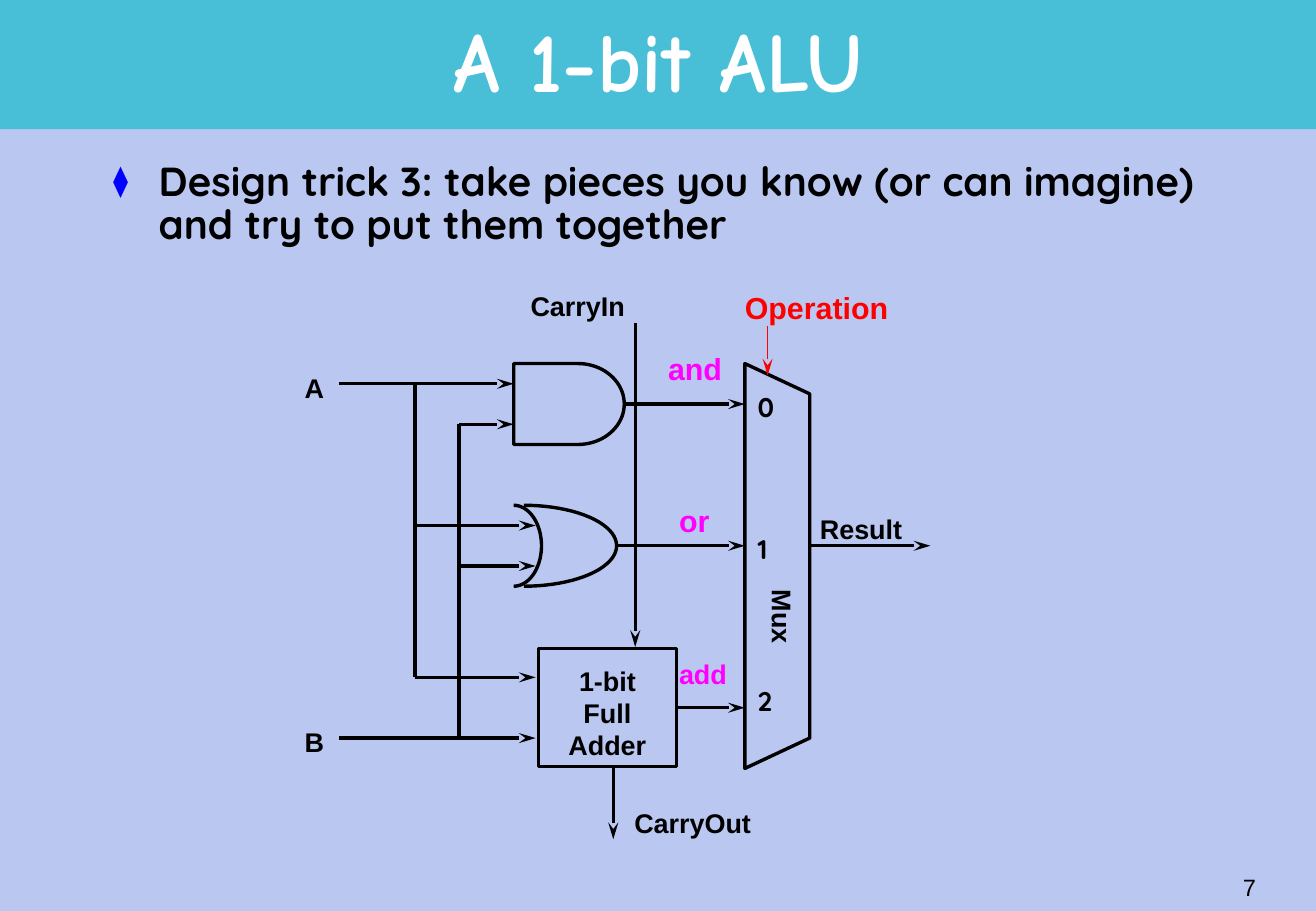
import math
import pptx
import pptx.util
import pptx.dml.color
import pptx.enum.shapes
import pptx.enum.text
import pptx.oxml
import pptx.oxml.ns

Pt = pptx.util.Pt
Align = pptx.enum.text.PP_ALIGN
Anchor = pptx.enum.text.MSO_ANCHOR
RECT = pptx.enum.shapes.MSO_SHAPE.RECTANGLE
WIDE, HIGH = 780, 540

THEME = {
    "back": "BAC8F1", "band": "49BFD7", "ink": "000000", "white": "FFFFFF",
    "pink": "FF00FF", "red": "FF0000", "blue": "0000FF",
    "head": ("Comic Neue", 50), "body": ("Quicksand", 24),
    "digit": ("Quicksand", 16), "label": ("Arial", 16),
    "large": ("Arial", 18), "page": ("Arial", 14),
}

TITLE = "A 1-bit ALU"
POINT = ("Design trick 3: take pieces you know (or can imagine) "
         "and try to put them together")
ADDER = "1-bit\nFull\nAdder"

# Columns of the circuit, in points
START, A_BUS, B_BUS, GATE, PORT = 201, 246, 272, 304.5, 317.5
CARRY, MUX, OUT, END = 376.5, 441.5, 480, 551.5
AND_TIP, OR_TIP, ADD_LEFT, ADD_WIDE, SELECT = 370, 365.5, 319, 82, 455


def row(step):
    """Height of a grid row: the mux spans rows 0 to 20."""
    return 215.5 + 12 * step


# Wires: x1, row1, x2, row2, arrow at the end
WIRES = [
    (START, 1, GATE, 1, True),
    (B_BUS, 3, GATE, 3, True),
    (AND_TIP, 2, MUX, 2, True),
    (A_BUS, 8, PORT, 8, True),
    (B_BUS, 11 - 1, PORT, 10, True),
    (OR_TIP, 9, MUX, 9, True),
    (A_BUS, 15.5, PORT, 15.5, True),
    (START, 18.5, PORT, 18.5, True),
    (ADD_LEFT + ADD_WIDE, 17, MUX, 17, True),
    (OUT, 9, END, 9, True),
    (CARRY, -2, CARRY, 14, True),
    (363.5, 20, 363.5, 23.5, True),
    (A_BUS, 1, A_BUS, 15.5, False),
    (B_BUS, 3, B_BUS, 18.5, False),
]

# Labels: text, left, top, style, colour
LABELS = [
    ("A", 180.5, 220.5, "label", "ink"),
    ("B", 180.5, 430, "label", "ink"),
    ("CarryIn", 314.5, 171.5, "label", "ink"),
    ("CarryOut", 376, 478, "label", "ink"),
    ("Result", 486, 304, "label", "ink"),
    ("add", 402.5, 389.5, "label", "pink"),
    ("and", 396, 207.5, "large", "pink"),
    ("or", 402.5, 297.5, "large", "pink"),
    ("Operation", 441.5, 171.5, "large", "red"),
]
DIGITS = [("0", 1), ("1", 8), ("2", 15.5)]


def shade(name):
    return pptx.dml.color.RGBColor.from_string(THEME[name])


def apply(target, values):
    for name, value in values.items():
        setattr(target, name, value)


def write(shape, text, style, tint="ink", bold=True, frame=None, para=None):
    """Fill a shape with text; frame and para hold format values."""
    box = shape.text_frame
    box.text = text
    apply(box, {"word_wrap": True, "margin_left": 0, "margin_right": 0,
                "margin_top": 0, "margin_bottom": 0,
                "auto_size": pptx.enum.text.MSO_AUTO_SIZE.NONE,
                "vertical_anchor": Anchor.TOP, **(frame or {})})
    face, size = THEME[style]
    for item in box.paragraphs:
        apply(item, {"alignment": Align.LEFT, **(para or {})})
        for run in item.runs:
            apply(run.font, {"name": face, "size": Pt(size), "bold": bold})
            run.font.color.rgb = shade(tint)


def place(shape, left, top, width, height):
    apply(shape, {"left": Pt(left), "top": Pt(top),
                  "width": Pt(width), "height": Pt(height)})


def label(slide, text, left, top, width, height, *args, **more):
    box = slide.shapes.add_textbox(Pt(left), Pt(top), Pt(width), Pt(height))
    write(box, text, *args, **more)
    return box


def stroke(shape):
    """Leave only a black outline on a shape."""
    shape.shadow.inherit = False
    shape.fill.background()
    shape.line.color.rgb = shade("ink")
    shape.line.width = Pt(2)


def outline(slide, points, close):
    spots = [(Pt(x), Pt(y)) for x, y in points]
    path = slide.shapes.build_freeform(*spots[0], scale=1.0)
    path.add_line_segments(spots[1:], close=close)
    stroke(path.convert_to_shape())


def bow(left, mid, wide, high, parts=40):
    """Points of the right half of an oval, from top to bottom."""
    turns = [math.pi * (n / parts - 0.5) for n in range(parts + 1)]
    return [(left + wide * math.cos(t), mid + high * math.sin(t))
            for t in turns]


def wire(slide, x1, y1, x2, y2, arrow, tint="ink", width=2):
    line = slide.shapes.add_connector(
        pptx.enum.shapes.MSO_CONNECTOR.STRAIGHT,
        Pt(x1), Pt(y1), Pt(x2), Pt(y2))
    line.line.color.rgb = shade(tint)
    line.line.width = Pt(width)
    props = line.element.spPr
    if arrow:
        tip = pptx.oxml.ns.qn("a:tailEnd")
        edge = props.find(pptx.oxml.ns.qn("a:ln"))
        edge.append(edge.makeelement(
            tip, {"type": "stealth", "w": "med", "len": "lg"}))
    props.append(props.makeelement(pptx.oxml.ns.qn("a:effectLst"), {}))


def bullet(item):
    props = item._p.get_or_add_pPr()
    apply_to = {"marL": Pt(27), "indent": Pt(-27)}
    for name, value in apply_to.items():
        props.set(name, str(int(value)))
    space = pptx.oxml.ns.nsdecls("a")
    for mark in (
            f'<a:buClr {space}><a:srgbClr val="{THEME["blue"]}"/></a:buClr>',
            f'<a:buSzPct {space} val="75000"/>',
            f'<a:buChar {space} char="⧫"/>'):
        props.append(pptx.oxml.parse_xml(mark))


def frame_page(slide):
    """Set the backdrop, band, title, list and page number."""
    slide.background.fill.solid()
    slide.background.fill.fore_color.rgb = shade("back")
    title, body = slide.shapes.title, slide.placeholders[1]
    band = slide.shapes.add_shape(RECT, 0, 0, Pt(WIDE), Pt(76.5))
    band.shadow.inherit = False
    band.fill.solid()
    band.fill.fore_color.rgb = shade("band")
    band.line.fill.background()
    title.element.addprevious(band.element)

    place(title, 58.5, 3.5, 663, 71.5)
    write(title, TITLE, "head", "white",
          frame={"vertical_anchor": Anchor.MIDDLE},
          para={"alignment": Align.CENTER, "line_spacing": 0.85})
    place(body, 60, 92, 663, 400)
    write(body, POINT, "body",
          frame={"margin_left": Pt(7), "margin_right": Pt(7),
                 "margin_top": Pt(3.5)},
          para={"line_spacing": 0.9, "space_before": Pt(0)})
    bullet(body.text_frame.paragraphs[0])
    label(slide, "7", 704.5, 517.5, 40, 16, "page", bold=False,
          para={"alignment": Align.RIGHT})


def draw_parts(slide):
    """Draw both gates, the adder and the mux."""
    outline(slide, [(GATE, row(0)), *bow(342.5, row(2), 27.5, 24),
                    (GATE, row(4))], True)
    outline(slide, bow(310.5, row(9), 55, 24), False)
    outline(slide, bow(GATE, row(9), 16.5, 24), False)
    outline(slide, [(MUX, row(0)), (OUT, row(1.5)),
                    (OUT, row(18.5)), (MUX, row(20))], True)
    adder = slide.shapes.add_shape(RECT, Pt(ADD_LEFT), Pt(384.5),
                                   Pt(ADD_WIDE), Pt(70))
    stroke(adder)
    write(adder, ADDER, "label",
          frame={"vertical_anchor": Anchor.MIDDLE, "margin_top": Pt(6)},
          para={"alignment": Align.CENTER})


def main():
    deck = pptx.Presentation()
    apply(deck, {"slide_width": Pt(WIDE), "slide_height": Pt(HIGH)})
    slide = deck.slides.add_slide(deck.slide_layouts[1])
    frame_page(slide)
    draw_parts(slide)
    for x1, from_row, x2, to_row, arrow in WIRES:
        wire(slide, x1, row(from_row), x2, row(to_row), arrow)
    wire(slide, SELECT, 193, SELECT, 222.5, True, "red", 1)
    for text, left, top, style, tint in LABELS:
        label(slide, text, left, top, 100, 22, style, tint)
    for text, step in DIGITS:
        label(slide, text, 449, row(step) + 4, 18, 20, "digit")
    mux = label(slide, "Mux", 444, 356, 40, 19, "label",
                para={"alignment": Align.CENTER})
    mux.rotation = 90
    deck.save("out.pptx")


if __name__ == "__main__":
    main()
